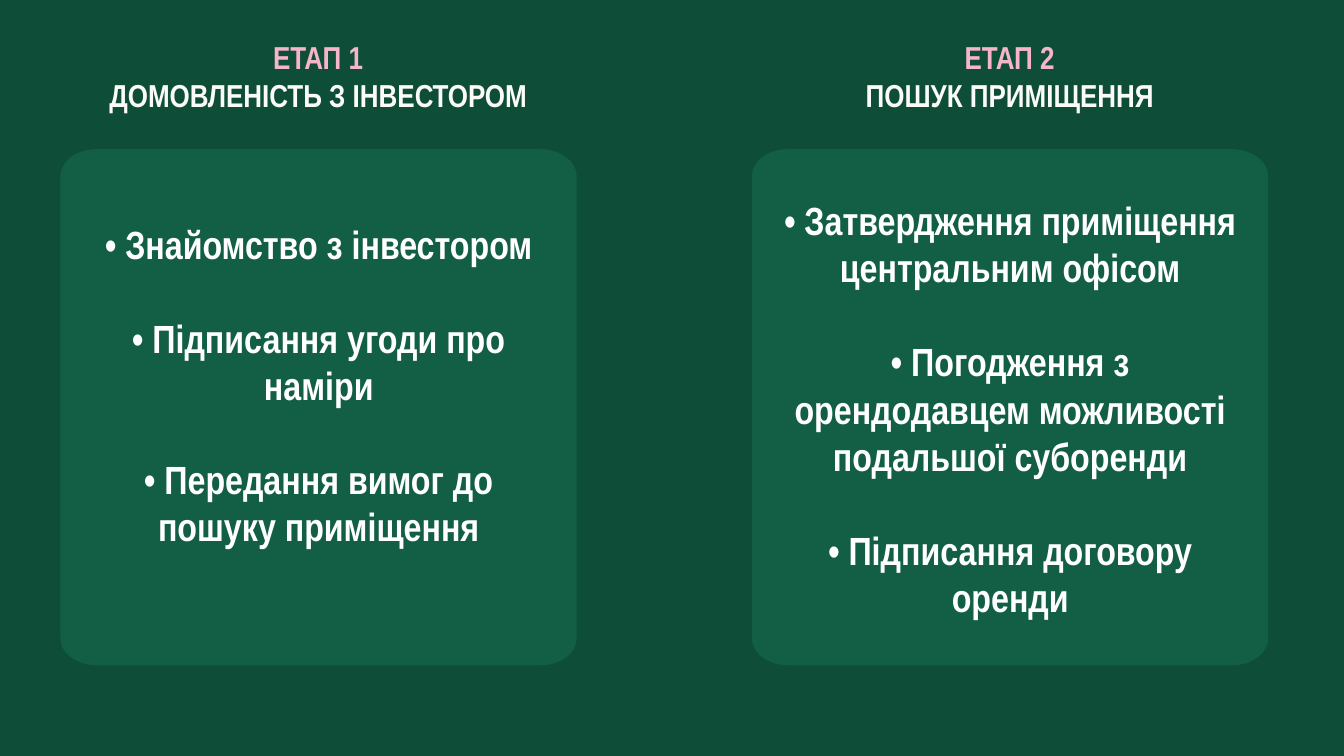
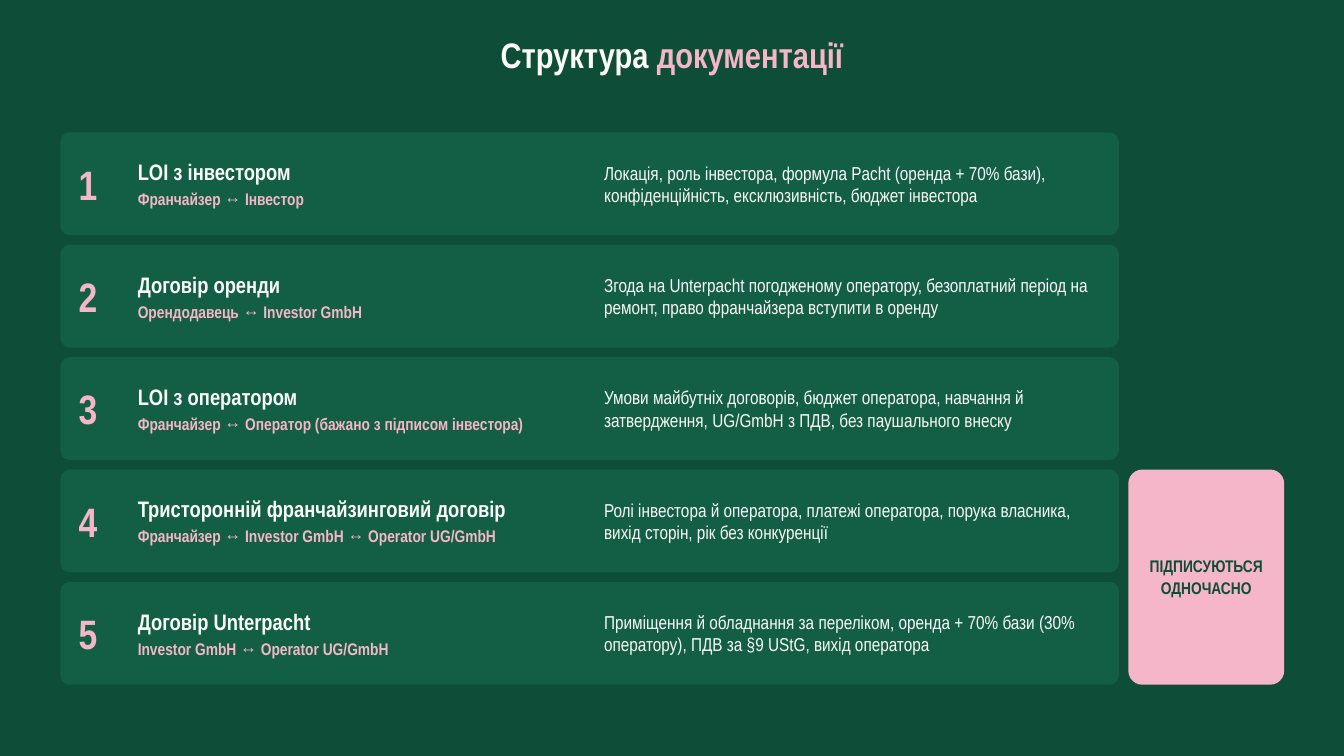
from dataclasses import dataclass
from math import cos, pi, sin

from pptx import Presentation
from pptx.dml.color import RGBColor
from pptx.enum.shapes import MSO_SHAPE
from pptx.enum.text import MSO_ANCHOR, PP_ALIGN
from pptx.util import Inches, Pt

ROUNDED = MSO_SHAPE.ROUNDED_RECTANGLE
TOP, MIDDLE = MSO_ANCHOR.TOP, MSO_ANCHOR.MIDDLE
LEFT, CENTER = PP_ALIGN.LEFT, PP_ALIGN.CENTER


@dataclass(frozen=True)
class Theme:
    font: str = "Arial Narrow"
    background: str = "0E4D38"
    panel: str = "135F45"
    pink: str = "F4B6C8"
    cream: str = "FBFBF8"
    white: str = "FFFFFF"
    title: float = 38
    stage: float = 34
    stage_item: float = 42.1
    number: float = 44
    document: float = 24
    summary: float = 20
    small: float = 18


THEME = Theme()


@dataclass(frozen=True)
class Span:
    text: str
    size: float
    color: str
    bold: bool = True


def write(frame, paragraphs, *, align=LEFT, anchor=TOP, leading=None, gap=0):
    """Fill a text frame; each paragraph is a list of spans, gap is in points."""
    frame.word_wrap = True
    frame.vertical_anchor = anchor
    frame.margin_left = frame.margin_right = frame.margin_top = frame.margin_bottom = 0
    for index, spans in enumerate(paragraphs):
        para = frame.add_paragraph() if index else frame.paragraphs[0]
        para.alignment = align
        if leading:
            para.line_spacing = Pt(leading)
        if index and gap:
            para.space_before = Pt(gap)
        for span in spans:
            run = para.add_run()
            run.text = span.text
            run.font.name = THEME.font
            run.font.size = Pt(span.size)
            run.font.bold = span.bold
            run.font.color.rgb = RGBColor.from_string(span.color)


class Page:
    def __init__(self, deck):
        self.slide = deck.slides.add_slide(deck.slide_layouts[6])
        fill = self.slide.background.fill
        fill.solid()
        fill.fore_color.rgb = RGBColor.from_string(THEME.background)

    def text(self, left, top, width, height, paragraphs, **style):
        box = self.slide.shapes.add_textbox(
            Inches(left), Inches(top), Inches(width), Inches(height))
        write(box.text_frame, paragraphs, **style)

    def paint(self, shape, color):
        shape.shadow.inherit = False
        shape.fill.solid()
        shape.fill.fore_color.rgb = RGBColor.from_string(color)
        shape.line.fill.background()
        return shape

    def panel(self, left, top, width, height, color):
        shape = self.slide.shapes.add_shape(
            ROUNDED, Inches(left), Inches(top), Inches(width), Inches(height))
        shape.adjustments[0] = 0.09
        return self.paint(shape, color)

    def card(self, left, top, side, radius_x, radius_y, color, steps=12):
        """Draw a square whose corners are quarter ellipses."""
        near_x, far_x = left + radius_x, left + side - radius_x
        near_y, far_y = top + radius_y, top + side - radius_y
        centers = [(far_x, far_y), (near_x, far_y), (near_x, near_y), (far_x, near_y)]
        points = []
        for corner, (x, y) in enumerate(centers):
            for step in range(steps + 1):
                angle = (corner + step / steps) * pi / 2
                points.append((Inches(x + radius_x * cos(angle)),
                               Inches(y + radius_y * sin(angle))))
        outline = self.slide.shapes.build_freeform(*points[0])
        outline.add_line_segments(points[1:], close=True)
        return self.paint(outline.convert_to_shape(), color)


STAGES = [
    # card left, items top, items height, label, name, items
    (0.9, 3.27, 4.88, "ЕТАП 1", "ДОМОВЛЕНІСТЬ З ІНВЕСТОРОМ", [
        "• Знайомство з інвестором",
        "• Підписання угоди про наміри",
        "• Передання вимог до пошуку приміщення"]),
    (11.19, 2.92, 6.27, "ЕТАП 2", "ПОШУК ПРИМІЩЕННЯ", [
        "• Затвердження приміщення центральним офісом",
        "• Погодження з орендодавцем можливості подальшої суборенди",
        "• Підписання договору оренди"]),
]

DOCUMENTS = [
    ("LOI з інвестором", "Франчайзер ↔ Інвестор",
     "Локація, роль інвестора, формула Pacht (оренда + 70% бази), "
     "конфіденційність, ексклюзивність, бюджет інвестора"),
    ("Договір оренди", "Орендодавець ↔ Investor GmbH",
     "Згода на Unterpacht погодженому оператору, безоплатний період на ремонт, "
     "право франчайзера вступити в оренду"),
    ("LOI з оператором", "Франчайзер ↔ Оператор (бажано з підписом інвестора)",
     "Умови майбутніх договорів, бюджет оператора, навчання й затвердження, "
     "UG/GmbH з ПДВ, без паушального внеску"),
    ("Тристоронній франчайзинговий договір",
     "Франчайзер ↔ Investor GmbH ↔ Operator UG/GmbH",
     "Ролі інвестора й оператора, платежі оператора, порука власника, "
     "вихід сторін, рік без конкуренції"),
    ("Договір Unterpacht", "Investor GmbH ↔ Operator UG/GmbH",
     "Приміщення й обладнання за переліком, оренда + 70% бази (30% оператору), "
     "ПДВ за §9 UStG, вихід оператора"),
]


def add_stages(deck):
    page = Page(deck)
    leading = 50.5
    for left, items_top, items_height, label, name, items in STAGES:
        page.card(left, 2.22, 7.68, 0.54, 0.4, THEME.panel)
        page.text(left + 0.12, 0.56, 7.43, 1.12,
                  [[Span(label, THEME.stage, THEME.pink)],
                   [Span(name, THEME.stage, THEME.cream)]],
                  align=CENTER, leading=40.8)
        page.text(left + 0.43, items_top, 6.83, items_height,
                  [[Span(item, THEME.stage_item, THEME.white)] for item in items],
                  align=CENTER, leading=leading, gap=leading)


def add_documents(deck):
    page = Page(deck)
    page.text(0, 0.49, 20, 1.09,
              [[Span("Структура ", THEME.title, THEME.cream),
                Span("документації", THEME.title, THEME.pink)]], align=CENTER)

    first_top, last_top, height = 1.97, 8.66, 1.53
    pitch = (last_top - first_top) / (len(DOCUMENTS) - 1)
    for index, (name, parties, summary) in enumerate(DOCUMENTS):
        top = first_top + index * pitch
        page.panel(0.9, top, 15.75, height, THEME.panel)
        page.text(1.17, top, 0.77, height,
                  [[Span(str(index + 1), THEME.number, THEME.pink)]], anchor=MIDDLE)
        page.text(2.05, top, 6.78, height,
                  [[Span(name, THEME.document, THEME.cream)],
                   [Span(parties, THEME.small, THEME.pink)]], anchor=MIDDLE, gap=4)
        page.text(8.99, top, 7.33, height,
                  [[Span(summary, THEME.summary, THEME.cream, bold=False)]],
                  anchor=MIDDLE)

    badge = page.panel(16.79, last_top - pitch, 2.32, pitch + height, THEME.pink)
    write(badge.text_frame,
          [[Span(word, THEME.small, THEME.background)]
           for word in ("ПІДПИСУЮТЬСЯ", "ОДНОЧАСНО")],
          align=CENTER, anchor=MIDDLE, gap=2)


def main():
    deck = Presentation()
    deck.slide_width, deck.slide_height = Inches(20), Inches(11.25)
    add_stages(deck)
    add_documents(deck)
    deck.save("out.pptx")


if __name__ == "__main__":
    main()
